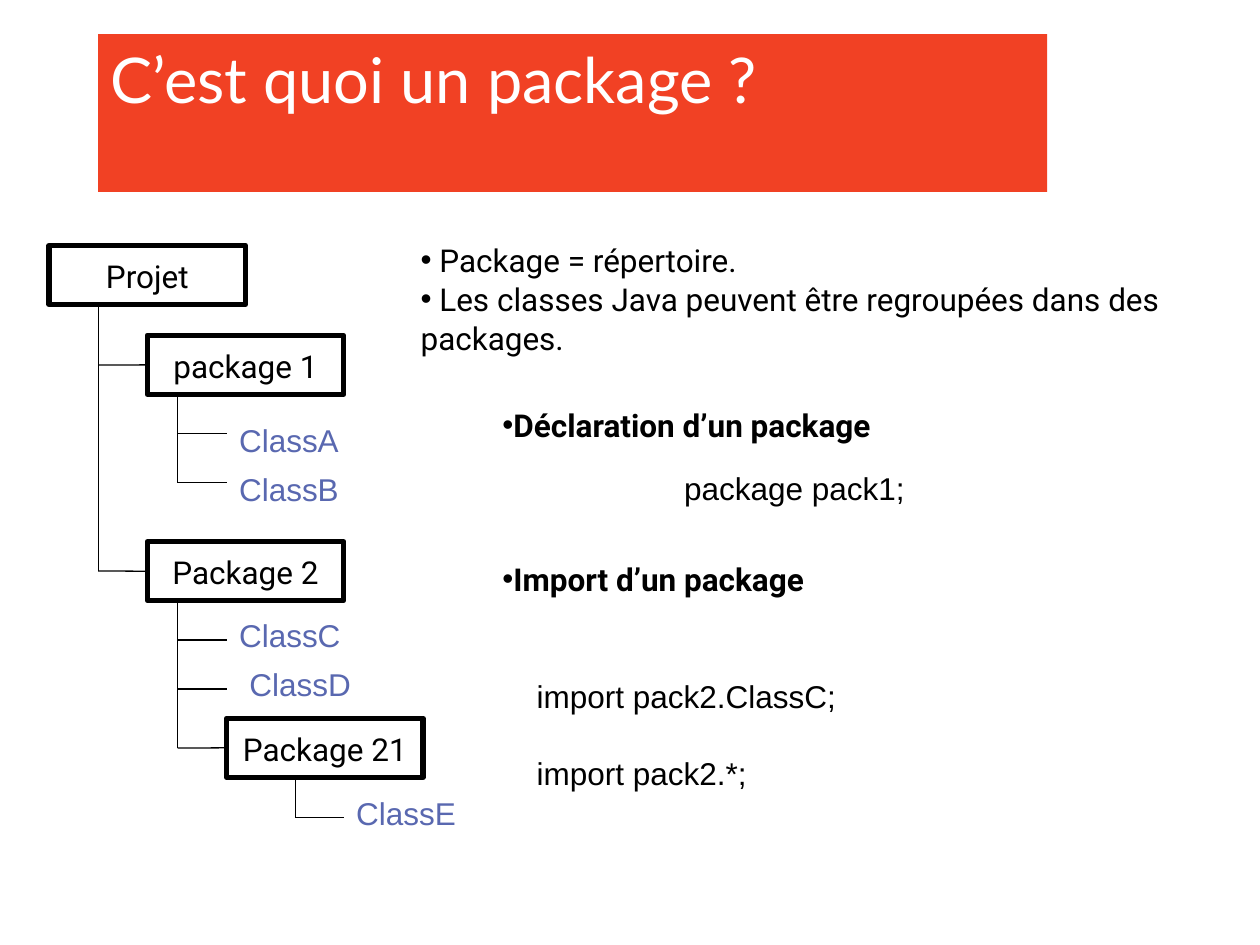
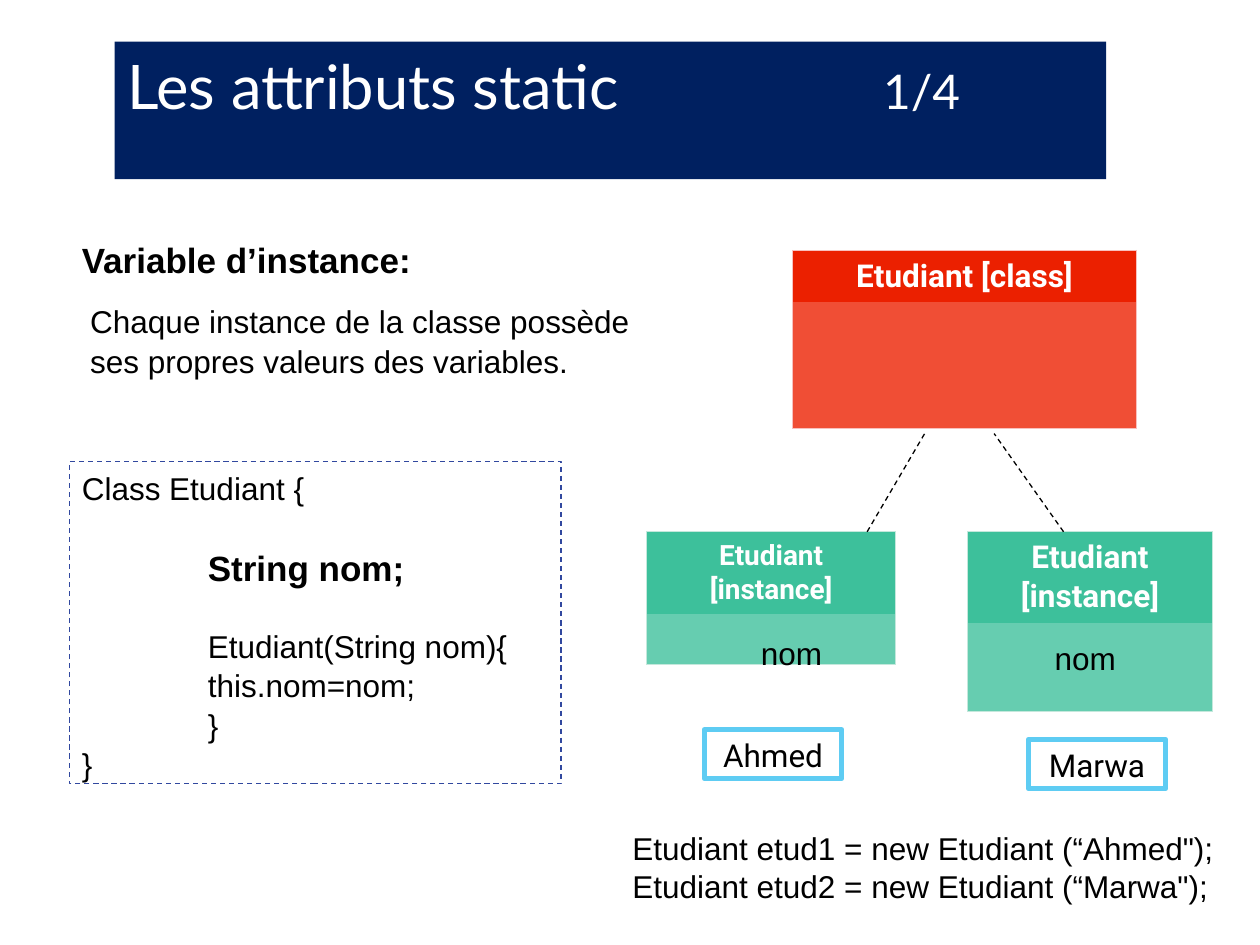
from dataclasses import dataclass

from lxml import etree
from pptx import Presentation
from pptx.dml.color import RGBColor
from pptx.enum.dml import MSO_LINE
from pptx.enum.shapes import MSO_CONNECTOR, MSO_SHAPE
from pptx.enum.text import MSO_ANCHOR, MSO_AUTO_SIZE, PP_ALIGN
from pptx.oxml.ns import qn
from pptx.util import Cm, Pt

RECTANGLE = MSO_SHAPE.RECTANGLE
STRAIGHT = MSO_CONNECTOR.STRAIGHT
DASH = MSO_LINE.DASH
FIXED_SIZE = MSO_AUTO_SIZE.NONE
TOP, MIDDLE = MSO_ANCHOR.TOP, MSO_ANCHOR.MIDDLE
LEFT, CENTER = PP_ALIGN.LEFT, PP_ALIGN.CENTER
LEFT_SITE = 1
TITLE_ONLY = 5


@dataclass(frozen=True)
class Theme:
    title_font: str = "Lato"
    label_font: str = "Roboto"
    body_font: str = "Arial"
    body_size: float = 18
    strong_size: float = 20
    small_size: float = 16
    title_size: float = 36
    counted_title_size: float = 35.1
    counter_size: float = 27.3
    line_spacing: float = 1.04
    thin: float = 0.75
    thick: float = 3.03
    black: str = "000000"
    white: str = "FFFFFF"
    class_name: str = "5968B0"
    orange_band: str = "F14124"
    navy_band: str = "002060"
    code_border: str = "31489F"
    value_border: str = "5ECCF3"
    class_card: tuple = ("EB2000", "F04E35", "F8C0BE")
    instance_card: tuple = ("3DC09B", "66CDB0", "C4E8DC")


@dataclass
class Line:
    text: str
    indent: float = 0
    before: float = 0
    size: float = 0
    bold: bool = False


def rgb(value):
    return RGBColor.from_string(value)


class Deck:
    def __init__(self, theme):
        self.theme = theme
        self.presentation = Presentation()
        self.presentation.slide_width = Cm(25.4)
        self.presentation.slide_height = Cm(19.05)
        self.slide = None

    def new_slide(self, title, band, left, top, width, height, size, counter=""):
        """Start a slide with a coloured title band and an optional page counter."""
        layout = self.presentation.slide_layouts[TITLE_ONLY]
        self.slide = self.presentation.slides.add_slide(layout)
        heading = self.slide.shapes.title
        heading.left, heading.top = Cm(left), Cm(top)
        heading.width, heading.height = Cm(width), Cm(height)
        heading.fill.solid()
        heading.fill.fore_color.rgb = rgb(band)
        frame = heading.text_frame
        frame.auto_size = FIXED_SIZE
        frame.vertical_anchor = TOP
        paragraph = frame.paragraphs[0]
        paragraph.alignment = LEFT
        if counter:
            properties = paragraph._p.get_or_add_pPr()
            stops = etree.SubElement(properties, qn("a:tabLst"))
            etree.SubElement(stops, qn("a:tab"), pos=str(Cm(15.24)), algn="l")
        self.set_font(paragraph, self.theme.title_font, size, self.theme.white)
        paragraph.add_run().text = title
        if counter:
            number = paragraph.add_run()
            number.text = "\t" + counter
            number.font.size = Pt(self.theme.counter_size)

    def set_font(self, paragraph, name, size, color, bold=False):
        font = paragraph.font
        font.name, font.size, font.bold = name, Pt(size), bold
        font.color.rgb = rgb(color)

    def fill_text(self, frame, lines, font=None, color=None, align=LEFT, bullet=False):
        """Fill a text frame with strings or Line entries."""
        theme = self.theme
        frame.word_wrap = True
        for index, entry in enumerate(lines):
            line = Line(entry) if isinstance(entry, str) else entry
            paragraph = frame.add_paragraph() if index else frame.paragraphs[0]
            paragraph.text = line.text
            paragraph.alignment = align
            paragraph.line_spacing = theme.line_spacing
            if line.before:
                paragraph.space_before = Pt(line.before)
            properties = paragraph._p.get_or_add_pPr()
            properties.set("marL", str(Cm(line.indent)))
            properties.set("indent", "0")
            if bullet:
                etree.SubElement(properties, qn("a:buFont"), typeface=theme.body_font)
                etree.SubElement(properties, qn("a:buChar"), char="•")
            self.set_font(paragraph, font or theme.body_font,
                          line.size or theme.body_size,
                          color or theme.black, line.bold)

    def text(self, left, top, width, *lines, height=1.02, **style):
        box = self.slide.shapes.add_textbox(Cm(left), Cm(top), Cm(width), Cm(height))
        self.fill_text(box.text_frame, lines, **style)

    def box(self, left, top, width, height, lines, border, weight, fill=None,
            dash=None, anchor=MIDDLE, **style):
        shape = self.slide.shapes.add_shape(
            RECTANGLE, Cm(left), Cm(top), Cm(width), Cm(height))
        shape.shadow.inherit = False
        if fill:
            shape.fill.solid()
            shape.fill.fore_color.rgb = rgb(fill)
        else:
            shape.fill.background()
        shape.line.color.rgb = rgb(border)
        shape.line.width = Pt(weight)
        if dash:
            shape.line.dash_style = dash
        shape.text_frame.vertical_anchor = anchor
        self.fill_text(shape.text_frame, lines, **style)
        return shape

    def label_box(self, left, top, width, height, label, border):
        return self.box(left, top, width, height, [label], border, self.theme.thick,
                        fill=self.theme.white, font=self.theme.label_font, align=CENTER)

    def line(self, x1, y1, x2, y2, dash=None, target=None):
        """Draw a thin line, joined to the left side of target when given."""
        connector = self.slide.shapes.add_connector(
            STRAIGHT, Cm(x1), Cm(y1), Cm(x2), Cm(y2))
        connector.line.color.rgb = rgb(self.theme.black)
        connector.line.width = Pt(self.theme.thin)
        if dash:
            connector.line.dash_style = dash
        etree.SubElement(connector._element.spPr, qn("a:effectLst"))
        if target:
            connector.end_connect(target, LEFT_SITE)

    def set_borders(self, cell, color, open_side):
        properties = cell._tc.get_or_add_tcPr()
        for side in ("lnL", "lnR", "lnT", "lnB"):
            edge = etree.SubElement(properties, qn("a:" + side),
                                    w=str(Pt(self.theme.thin)))
            if side == open_side:
                etree.SubElement(edge, qn("a:noFill"))
            else:
                paint = etree.SubElement(edge, qn("a:solidFill"))
                etree.SubElement(paint, qn("a:srgbClr"), val=color)

    def card(self, left, top, width, row_heights, heading, colors, size):
        """Add a two-row table: a heading over an empty body."""
        header_fill, body_fill, border = colors
        table = self.slide.shapes.add_table(
            2, 1, Cm(left), Cm(top), Cm(width), Cm(sum(row_heights))).table
        rows = zip(row_heights, (header_fill, body_fill), ("lnB", "lnT"))
        for index, (height, fill, open_side) in enumerate(rows):
            table.rows[index].height = Cm(height)
            cell = table.cell(index, 0)
            self.set_borders(cell, border, open_side)
            cell.fill.solid()
            cell.fill.fore_color.rgb = rgb(fill)
        self.fill_text(table.cell(0, 0).text_frame,
                       [Line(heading, size=size, bold=True)],
                       font=self.theme.label_font, color=self.theme.white, align=CENTER)


def package_slide(deck):
    theme = deck.theme
    deck.new_slide("C’est quoi un package ?", theme.orange_band,
                   1.98, 0.69, 19.13, 3.18, theme.title_size)

    node_width, node_height, twig = 3.96, 1.19, 0.99
    root_trunk, class_trunk, nested_trunk = 1.98, 3.58, 5.95
    nodes = {}
    for name, left, top in (("Projet", 0.99, 4.95), ("package 1", 2.97, 6.76),
                            ("Package 2", 2.97, 10.92), ("Package 21", 4.57, 14.48)):
        nodes[name] = deck.label_box(left, top, node_width, node_height,
                                     name, theme.black)

    for trunk, parent_top, end in ((root_trunk, 4.95, 11.51), (class_trunk, 6.76, 9.73),
                                   (class_trunk, 10.92, 15.08),
                                   (nested_trunk, 14.48, 16.48)):
        deck.line(trunk, parent_top + node_height, trunk, end)
    for name, trunk, y in (("package 1", root_trunk, 7.36),
                           ("Package 2", root_trunk, 11.51),
                           ("Package 21", class_trunk, 15.08)):
        deck.line(trunk, y, trunk + twig, y, target=nodes[name])
    for name, trunk, y, left, top in (
            ("ClassA", class_trunk, 8.74, 4.57, 8.33),
            ("ClassB", class_trunk, 9.73, 4.57, 9.32),
            ("ClassC", class_trunk, 12.9, 4.57, 12.27),
            ("ClassD", class_trunk, 13.89, 4.78, 13.26),
            ("ClassE", nested_trunk, 16.48, 6.93, 15.85)):
        deck.line(trunk, y, trunk + twig, y)
        deck.text(left, top, 2.6, name, color=theme.class_name)

    deck.text(8.23, 4.7, 16.05, " Package = répertoire.",
              " Les classes Java peuvent être regroupées dans des packages.",
              height=2.57, font=theme.label_font, bullet=True)
    for topic, top in (("Déclaration d’un package", 8.03),
                       ("Import d’un package", 11.13)):
        deck.text(9.88, top, 8.89, Line(topic, bold=True),
                  font=theme.label_font, bullet=True)
    deck.text(13.54, 9.3, 5.1, "package pack1;")
    deck.text(10.57, 13.49, 6.7, "import pack2.ClassC;")
    deck.text(10.57, 15.04, 5, "import pack2.*;")


def static_slide(deck):
    theme = deck.theme
    deck.new_slide("Les attributs static ", theme.navy_band, 2.31, 0.84, 19.99, 2.77,
                   theme.counted_title_size, counter="1/4")

    deck.text(1.4, 4.65, 7.3,
              Line("Variable d’instance:", size=theme.strong_size, bold=True))
    deck.text(1.57, 5.94, 11.91, "Chaque instance de la classe possède "
              "ses propres valeurs des variables.", height=1.78)

    member, gap = 2.54, 21.5
    code = [
        Line("Class Etudiant {"),
        Line("String nom;", member, gap, theme.strong_size, True),
        Line("Etudiant(String nom){", member, gap),
        Line("this.nom=nom;", member),
        Line("}", member),
        Line("}"),
    ]
    deck.box(1.4, 9.3, 9.91, 6.5, code, theme.code_border, theme.thin,
             dash=DASH, anchor=TOP)

    deck.card(15.98, 5.05, 6.93, (1.04, 2.54), "Etudiant [class]",
              theme.class_card, theme.body_size)
    instance_top = 10.72
    deck.card(13.03, instance_top, 5.03, (1.6, 1), "Etudiant [instance]",
              theme.instance_card, theme.small_size)
    deck.card(19.51, instance_top, 4.93, (1.78, 1.78), "Etudiant [instance]",
              theme.instance_card, theme.body_size)
    for instance_x, class_x in ((17.48, 18.64), (21.44, 20.04)):
        deck.line(instance_x, instance_top, class_x, 8.74, dash=DASH)

    for left, top in ((15.09, 12.62), (21.01, 12.73)):
        deck.text(left, top, 1.8, "nom")
    for value, left, top in (("Ahmed", 14.2, 14.71), ("Marwa", 20.73, 14.91)):
        deck.label_box(left, top, 2.77, 0.99, value, theme.value_border)
    for statement, top in (('Etudiant etud1 = new Etudiant (“Ahmed");', 16.56),
                           ('Etudiant etud2 = new Etudiant (“Marwa");', 17.32)):
        deck.text(12.5, top, 12.35, statement)


def main():
    deck = Deck(Theme())
    package_slide(deck)
    static_slide(deck)
    deck.presentation.save("out.pptx")


if __name__ == "__main__":
    main()
